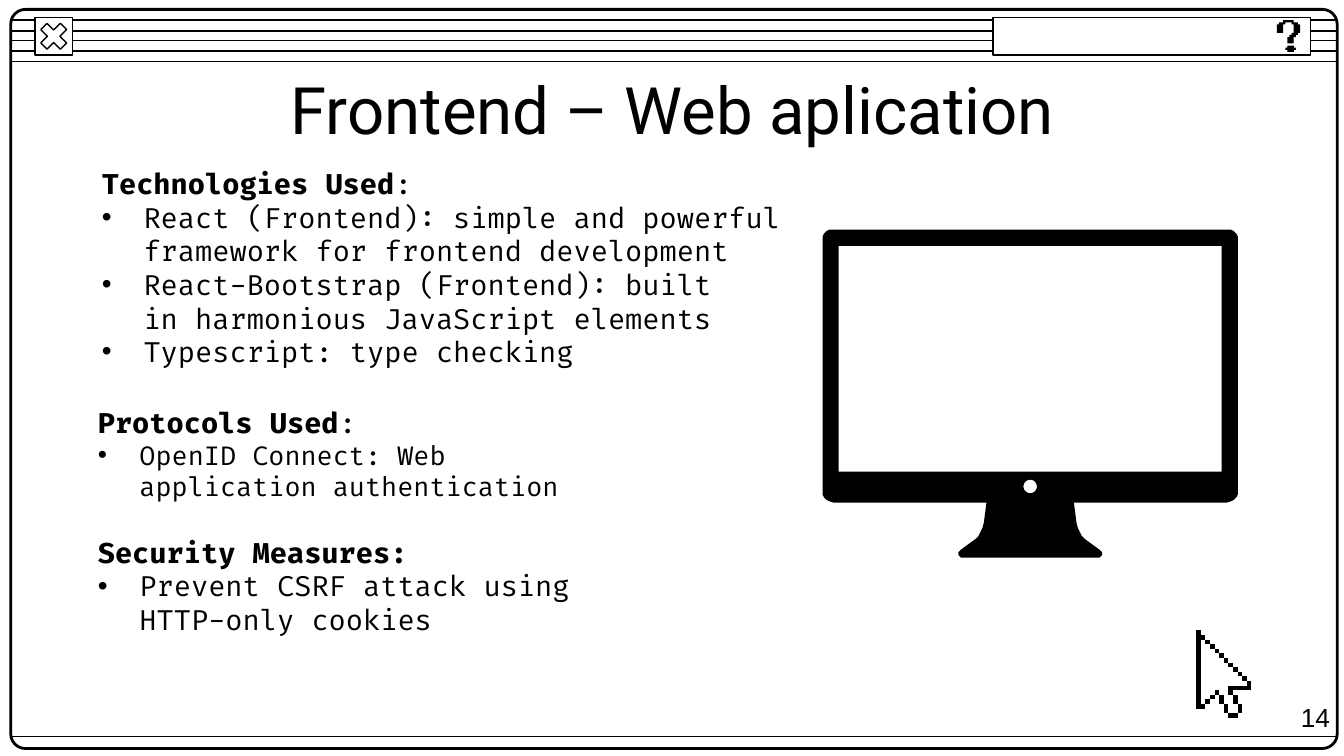
from dataclasses import dataclass
from math import cos, pi, sin

from lxml import etree
from pptx import Presentation
from pptx.dml.color import RGBColor
from pptx.enum.shapes import MSO_CONNECTOR, MSO_SHAPE
from pptx.enum.text import MSO_ANCHOR, MSO_AUTO_SIZE, PP_ALIGN
from pptx.oxml.ns import qn
from pptx.util import Pt

STRAIGHT = MSO_CONNECTOR.STRAIGHT
RECTANGLE, ROUNDED, CROSS = MSO_SHAPE.RECTANGLE, MSO_SHAPE.ROUNDED_RECTANGLE, MSO_SHAPE.MATH_MULTIPLY
MIDDLE, TOP = MSO_ANCHOR.MIDDLE, MSO_ANCHOR.TOP
LEFT, CENTER = PP_ALIGN.LEFT, PP_ALIGN.CENTER
FIT_SHAPE = MSO_AUTO_SIZE.SHAPE_TO_FIT_TEXT

EMU_PER_PX = 9144  # 100 px to the inch
HARD_SPACE = chr(160)  # keeps two words on one line


def px(length):
    return round(length * EMU_PER_PX)


@dataclass(frozen=True)
class Theme:
    ink: RGBColor = RGBColor(0, 0, 0)
    paper: RGBColor = RGBColor(255, 255, 255)
    title_font: str = "Roboto"
    body_font: str = "Fira Code"
    plain_font: str = "Arial"
    title_size: int = 35
    body_size: int = 15
    small_size: int = 14
    thin: float = 0.75
    thick: float = 1.5


class SlideBuilder:
    def __init__(self, slide, theme):
        self.slide = slide
        self.shapes = slide.shapes
        self.theme = theme
        background = slide.background.fill
        background.solid()
        background.fore_color.rgb = theme.paper

    def rule(self, left, right, y):
        line = self.shapes.add_connector(STRAIGHT, px(left), px(y), px(right), px(y))
        line.line.color.rgb = self.theme.ink
        line.line.width = Pt(self.theme.thin)
        etree.SubElement(line._element.spPr, qn("a:effectLst"))

    def outline(self, kind, box, width, adjustment=None, filled=True):
        shape = self.shapes.add_shape(kind, *map(px, box))
        shape.shadow.inherit = False
        if filled:
            shape.fill.solid()
            shape.fill.fore_color.rgb = self.theme.paper
        else:
            shape.fill.background()
        shape.line.color.rgb = self.theme.ink
        shape.line.width = Pt(width)
        if adjustment is not None:
            shape.adjustments[0] = adjustment

    def silhouette(self, *contours):
        contours = [[(px(x), px(y)) for x, y in contour] for contour in contours]
        builder = self.shapes.build_freeform(*contours[0][0])
        for index, contour in enumerate(contours):
            if index:
                builder.move_to(*contour[0])
            builder.add_line_segments(contour[1:], close=True)
        shape = builder.convert_to_shape()
        shape.shadow.inherit = False
        shape.fill.solid()
        shape.fill.fore_color.rgb = self.theme.ink
        shape.line.fill.background()

    def pixel_art(self, left, top, cell, points):
        self.silhouette([(left + x * cell, top + y * cell) for x, y in points])

    def text(self, box, paragraphs, font, size, align=LEFT, **frame_format):
        """Each paragraph is (runs, options); each run is (words, bold)."""
        frame = self.shapes.add_textbox(*map(px, box)).text_frame
        values = {"word_wrap": True, "vertical_anchor": MIDDLE}
        values.update({f"margin_{side}": px(10) for side in ("left", "top", "right", "bottom")})
        for name, value in {**values, **frame_format}.items():
            setattr(frame, name, value)
        for index, (runs, options) in enumerate(paragraphs):
            paragraph = frame.add_paragraph() if index else frame.paragraphs[0]
            paragraph.alignment = align
            if "before" in options:
                paragraph.space_before = Pt(options["before"])
            if options.get("bullet"):
                self.bullet(paragraph)
            for words, bold in runs:
                run = paragraph.add_run()
                run.text = words
                run_format = {"name": font, "size": Pt(options.get("size", size)), "bold": bold}
                for name, value in run_format.items():
                    setattr(run.font, name, value)
                run.font.color.rgb = self.theme.ink

    def bullet(self, paragraph):
        properties = paragraph._p.get_or_add_pPr()
        properties.set("marL", str(px(31)))
        properties.set("indent", str(px(-31)))
        color = etree.SubElement(properties, qn("a:buClr"))
        etree.SubElement(color, qn("a:srgbClr"), val=str(self.theme.ink))
        etree.SubElement(properties, qn("a:buFont"), typeface=self.theme.plain_font)
        etree.SubElement(properties, qn("a:buChar"), char="•")


def heading(words, end="", **options):
    return [(words, True)] + ([(end, False)] if end else []), options


def item(words, **options):
    return [(words, False)], {"bullet": True, **options}


QUESTION_HOOK = [
    (3, 0), (3, 1), (1, 1), (1, 2), (0, 2), (0, 6), (3, 6), (3, 2), (4, 2), (4, 1), (7, 1),
    (7, 2), (8, 2), (8, 6), (7, 6), (7, 7), (6, 7), (6, 8), (5, 8), (5, 11), (8, 11), (8, 8),
    (9, 8), (9, 7), (10, 7), (10, 6), (11, 6), (11, 2), (10, 2), (10, 1), (8, 1), (8, 0)]
QUESTION_DOT = [
    (5, 12), (5, 13), (4, 13), (4, 14), (5, 14), (5, 15),
    (8, 15), (8, 14), (9, 14), (9, 13), (8, 13), (8, 12)]

# Cursor blocks: column, row, columns wide, rows high
CURSOR_BLOCKS = [(0, 0, 1, 17), *((step, step, 1, 1) for step in range(1, 12)),
                 (7, 12, 5, 1), (7, 13, 1, 1), (4, 13, 1, 1), (5, 14, 1, 2), (6, 16, 1, 2),
                 (7, 18, 2, 1), (8, 14, 1, 2), (9, 16, 1, 2),
                 (3, 14, 1, 1), (2, 15, 1, 1), (1, 16, 1, 1)]

# Left half of the monitor, from the top edge down to the foot
MONITOR_WIDTH_SUM = 1533  # left x + mirrored right x
MONITOR_LEFT = [
    (620, 171), (617, 171), (615, 172), (613, 174), (612, 176), (612, 179),
    (612, 365), (612, 368), (613, 370), (615, 372), (617, 373), (620, 374),
    (734, 374), (732, 389), (731, 393), (729, 397), (728, 399), (726, 401),
    (715, 409), (713, 411), (713, 413), (714, 414), (715, 415), (717, 415)]


def main():
    theme = Theme()
    presentation = Presentation()
    presentation.slide_width = px(1000)
    presentation.slide_height = px(1000) * 9 // 16
    slide = presentation.slides.add_slide(presentation.slide_layouts[6])
    builder = SlideBuilder(slide, theme)

    # Window frame and title bar
    for index in range(5):
        builder.rule(8, 995, round(15 + 7.75 * index))
    builder.outline(ROUNDED, (8, 7, 987, 550), theme.thick, 0.02, filled=False)
    close_box = (26, 13, 28, 28)
    builder.outline(RECTANGLE, close_box, theme.thin)
    builder.outline(CROSS, close_box, theme.thin, 0.235)
    builder.rule(8, 995, 548)
    builder.outline(RECTANGLE, (739, 13, 236, 28), theme.thin)
    for part in (QUESTION_DOT, QUESTION_HOOK):
        builder.pixel_art(950, 15, 1.58, part)

    # Title and technologies
    builder.text((79, 49, 843, 63), [([("Frontend – Web aplication", False)], {})],
                 theme.title_font, theme.title_size, CENTER)
    builder.text((66, 147, 542, 104), [
        heading("Technologies Used", ":"),
        item("React (Frontend): simple and powerful framework for frontend development"),
        item(f"React-Bootstrap (Frontend): built in{HARD_SPACE}harmonious JavaScript elements"),
        item("Typescript: type checking"),
    ], theme.body_font, theme.body_size)

    # Monitor with screen and lamp cut out
    mirrored = [(MONITOR_WIDTH_SUM - x, y) for x, y in reversed(MONITOR_LEFT)]
    angles = [2 * pi * step / 32 for step in range(32)]
    lamp = [(MONITOR_WIDTH_SUM / 2 + 5 * cos(angle), 362 + 5 * sin(angle)) for angle in angles]
    screen = [(909, 351), (624, 351), (624, 183), (909, 183)]
    builder.silhouette(MONITOR_LEFT + mirrored, lamp, screen)

    # Pixel cursor
    for column, row, wide, high in CURSOR_BLOCKS:
        right, bottom = column + wide, row + high
        builder.pixel_art(890, 469, 3.43, [
            (column, row), (column, bottom), (right, bottom), (right, row)])

    # Protocols and security
    builder.text((63, 326, 430, 123), [
        heading("Protocols Used", ":"),
        item(f"OpenID Connect: Web application{HARD_SPACE}authentication", size=theme.small_size),
        heading("Security Measures:", before=18),
        item("Prevent CSRF attack using HTTP-only cookies"),
    ], theme.body_font, theme.body_size)

    # Page number
    builder.text((958, 517, 42, 34), [([("14", False)], {})], theme.plain_font, theme.small_size,
                 word_wrap=False, vertical_anchor=TOP, auto_size=FIT_SHAPE,
                 margin_top=px(5), margin_bottom=px(5))

    presentation.save("out.pptx")


if __name__ == "__main__":
    main()
